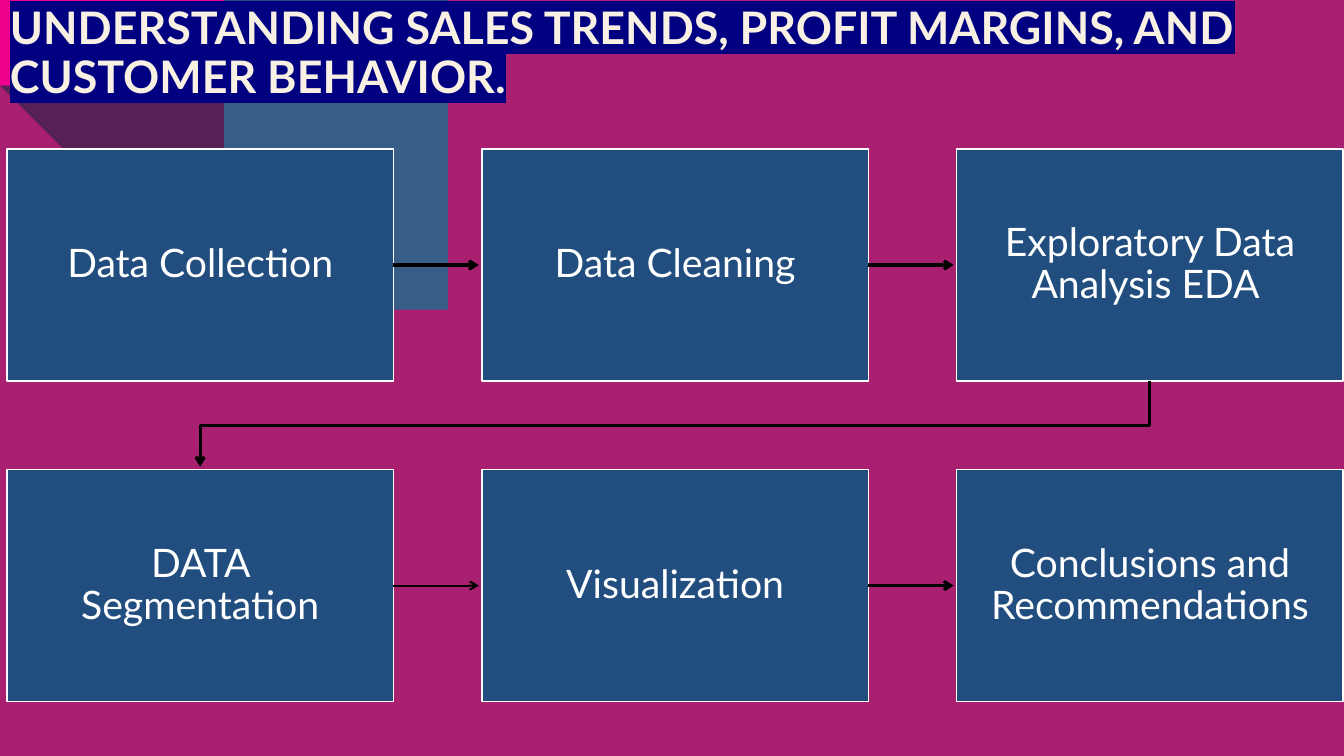
"""Build the sales analysis workflow slide."""
from dataclasses import dataclass
from typing import Any

from lxml.etree import SubElement
from pptx import Presentation
from pptx.dml.color import RGBColor as Color
from pptx.enum.shapes import MSO_CONNECTOR as Connector, MSO_SHAPE as Preset
from pptx.enum.text import MSO_ANCHOR as Anchor, PP_ALIGN as Align
from pptx.oxml import parse_xml
from pptx.oxml.ns import nsdecls, qn
from pptx.util import Pt


@dataclass(frozen=True)
class Theme:
    background: str = "AA2070"
    box: str = "224E7F"
    slate: str = "385E88"
    plum: str = "582156"
    pink: str = "EC008C"
    white: str = "FFFFFF"
    black: str = "000000"
    title: str = "F8F0E3"
    highlight: str = "000080"
    font: str = "Lato"
    title_size: float = 32
    step_size: float = 28


@dataclass(frozen=True)
class Block:
    left: float
    top: float
    width: float
    height: float
    color: str


@dataclass(frozen=True)
class Step:
    text: str
    column: int
    row: int
    arrow_weight: float = 0

    @property
    def left(self) -> float:
        return GRID_LEFT + self.column * COLUMN_STEP

    @property
    def top(self) -> float:
        return GRID_TOP + self.row * ROW_STEP


THEME = Theme()
GRID_LEFT, GRID_TOP = 5, 106.5
COLUMN_STEP, ROW_STEP = 339.2, 229
BOX_WIDTH, BOX_HEIGHT = 276, 165.6
ARROW_GAP = 2.2
TILE, BAND = 160, 61.2

BLOCKS = [
    Block(TILE, BAND, TILE, TILE, THEME.slate),
    Block(0, 0, TILE, BAND, THEME.pink),
    Block(TILE, 0, TILE, BAND, THEME.box),
]
STEPS = [
    Step("Data Collection", 0, 0, 2.25),
    Step("Data Cleaning", 1, 0, 2.25),
    Step("Exploratory Data Analysis EDA ", 2, 0),
    Step("DATA Segmentation", 0, 1, 1.5),
    Step("Visualization", 1, 1, 2.25),
    Step("Conclusions and Recommendations", 2, 1),
]
TITLE = "UNDERSTANDING SALES TRENDS, PROFIT MARGINS, AND CUSTOMER BEHAVIOR."
TITLE_FONT = {"name": THEME.font, "size": Pt(THEME.title_size), "bold": True}
STEP_FONT = {"name": THEME.font, "size": Pt(THEME.step_size)}
TITLE_FRAME = {"word_wrap": True, "vertical_anchor": Anchor.MIDDLE}
STEP_FRAME = TITLE_FRAME | {
    f"margin_{side}": Pt(16) for side in ("left", "top", "right", "bottom")
}


def apply(target: Any, values: dict[str, Any]) -> None:
    """Set every named attribute on the target."""
    for name, value in values.items():
        setattr(target, name, value)


def paint(shape: Any, color: str) -> None:
    """Give a shape a plain fill with no line or shadow."""
    shape.shadow.inherit = False
    shape.fill.solid()
    shape.fill.fore_color.rgb = Color.from_string(color)
    shape.line.fill.background()


def outline(line: Any, color: str, weight: float) -> None:
    """Set the color and weight of a line."""
    line.color.rgb = Color.from_string(color)
    line.width = Pt(weight)


def add_arrowhead(shape: Any, weight: float) -> None:
    """Style a line as a black arrow with an open head."""
    outline(shape.line, THEME.black, weight)
    SubElement(shape.line._get_or_add_ln(), qn("a:tailEnd"), type="arrow")


def write(shape: Any, text: str, color: str, font: dict[str, Any],
          frame: dict[str, Any], align: Align) -> Any:
    """Write one formatted paragraph and return its run."""
    apply(shape.text_frame, frame)
    paragraph = shape.text_frame.paragraphs[0]
    apply(paragraph, {"alignment": align, "line_spacing": 0.9})
    run = paragraph.add_run()
    run.text = text
    apply(run.font, font)
    run.font.color.rgb = Color.from_string(color)
    return run


def add_path(slide: Any, points: list[tuple[float, float]], close: bool) -> Any:
    """Draw a freeform through points."""
    start, *rest = [(Pt(x), Pt(y)) for x, y in points]
    builder = slide.shapes.build_freeform(*start)
    builder.add_line_segments(rest, close=close)
    return builder.convert_to_shape()


def add_block(slide: Any, block: Block) -> Any:
    """Draw a plain rectangle."""
    shape = slide.shapes.add_shape(
        Preset.RECTANGLE, Pt(block.left), Pt(block.top), Pt(block.width), Pt(block.height))
    paint(shape, block.color)
    return shape


def add_title(slide: Any) -> None:
    """Add the highlighted title."""
    box = slide.shapes.add_textbox(0, 0, Pt(891.4), Pt(78))
    run = write(box, TITLE, THEME.title, TITLE_FONT, TITLE_FRAME, Align.LEFT)
    highlight = parse_xml(
        f'<a:highlight {nsdecls("a")}><a:srgbClr val="{THEME.highlight}"/></a:highlight>')
    run._r.rPr.find(qn("a:solidFill")).addnext(highlight)


def add_step(slide: Any, step: Step) -> None:
    """Draw a step box and its arrow to the right."""
    shape = add_block(slide, Block(step.left, step.top, BOX_WIDTH, BOX_HEIGHT, THEME.box))
    outline(shape.line, THEME.white, 1)
    write(shape, step.text, THEME.white, STEP_FONT, STEP_FRAME, Align.CENTER)
    if step.arrow_weight:
        middle = Pt(step.top + BOX_HEIGHT / 2)
        arrow = slide.shapes.add_connector(
            Connector.STRAIGHT, Pt(step.left + BOX_WIDTH), middle,
            Pt(step.left + COLUMN_STEP - ARROW_GAP), middle)
        arrow.begin_connect(shape, 3)
        add_arrowhead(arrow, step.arrow_weight)
        SubElement(arrow._element.spPr, qn("a:effectLst"))


def add_return_arrow(slide: Any, source: Step, target: Step) -> None:
    """Draw the bent arrow from the first row to the second."""
    start_x, end_x = (step.left + BOX_WIDTH / 2 for step in (source, target))
    start_y = source.top + BOX_HEIGHT
    turn_y = (start_y + target.top) / 2
    shape = add_path(slide, [(start_x, start_y), (start_x, turn_y), (end_x, turn_y),
                             (end_x, target.top - ARROW_GAP)], close=False)
    shape.shadow.inherit = False
    shape.fill.background()
    add_arrowhead(shape, 2.25)


def main() -> None:
    """Create and save the presentation."""
    presentation = Presentation()
    apply(presentation, {"slide_width": Pt(960), "slide_height": Pt(540)})
    slide = presentation.slides.add_slide(presentation.slide_layouts[6])
    slide.background.fill.solid()
    slide.background.fill.fore_color.rgb = Color.from_string(THEME.background)
    for block in BLOCKS:
        add_block(slide, block)
    triangle = add_path(slide, [(0, BAND), (TILE, BAND), (TILE, BAND + TILE)], close=True)
    paint(triangle, THEME.plum)
    add_title(slide)
    for step in STEPS:
        add_step(slide, step)
    add_return_arrow(slide, STEPS[2], STEPS[3])
    presentation.save("out.pptx")


if __name__ == "__main__":
    main()
